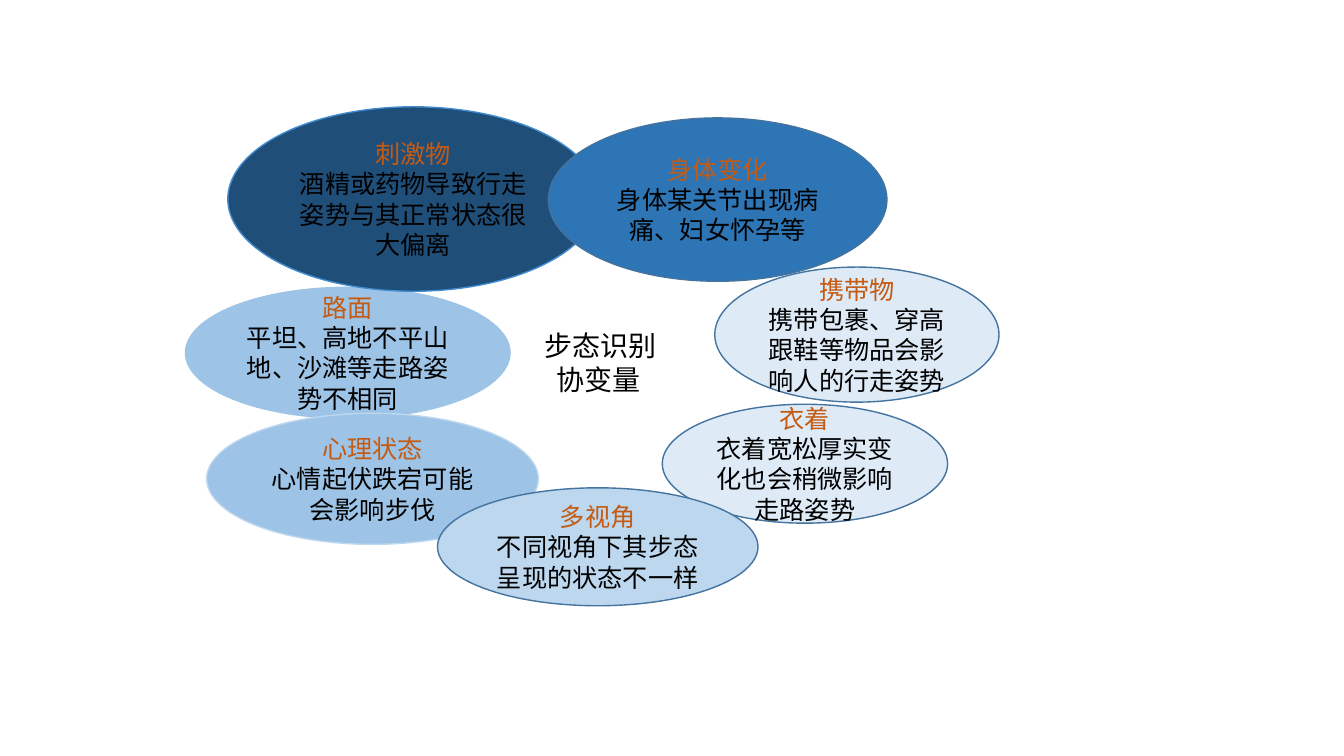
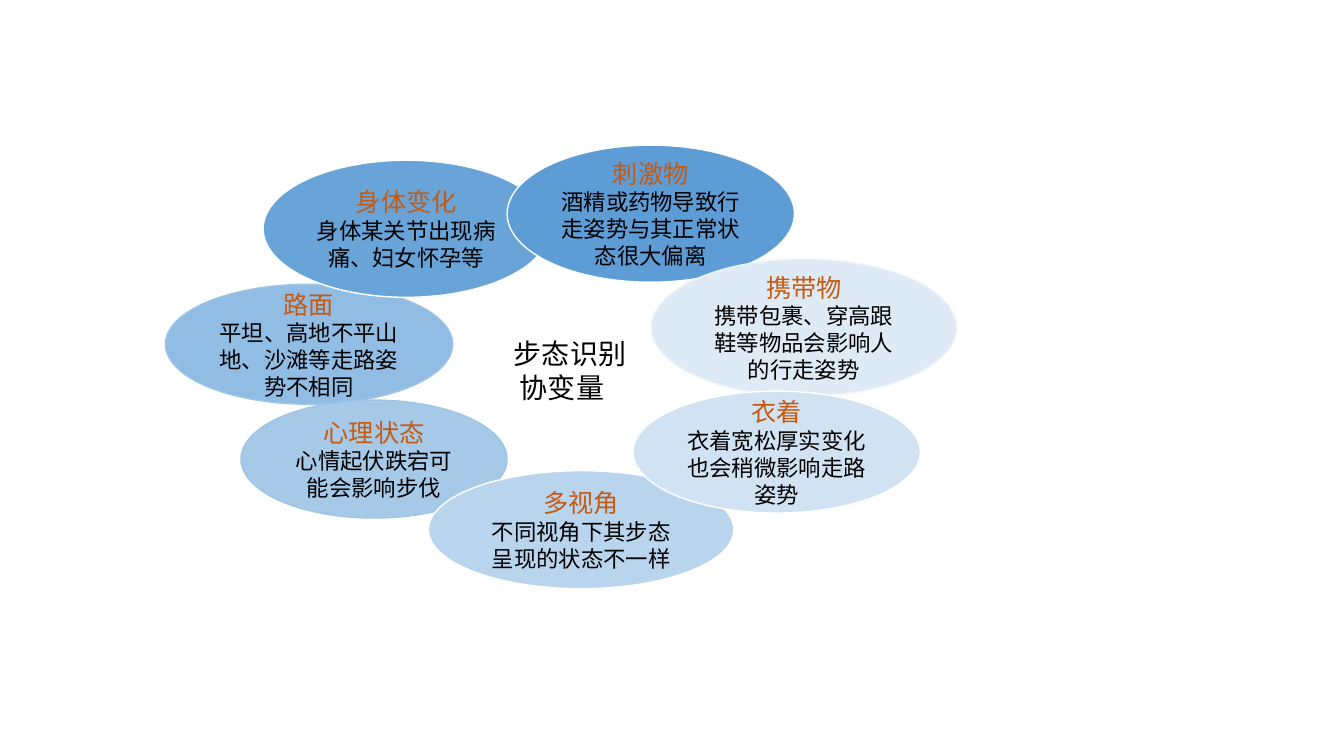
from dataclasses import dataclass

from lxml.etree import SubElement
from pptx import Presentation
from pptx.dml.color import RGBColor
from pptx.enum.shapes import MSO_SHAPE
from pptx.enum.text import MSO_ANCHOR, MSO_AUTO_SIZE, PP_ALIGN
from pptx.oxml.ns import qn
from pptx.util import Inches, Pt

WIDTH, HEIGHT = Inches(13.33), Inches(7.5)


@dataclass(frozen=True)
class Theme:
    font: str = "Noto Sans CJK SC"
    ink: str = "000000"
    accent: str = "C55A11"
    white: str = "FFFFFF"
    steel: str = "43739E"
    palest: str = "DEEBF7"
    pale: str = "BDD7EE"
    sky: str = "9DC3E6"
    topic_size: int = 20
    heading_size: int = 18
    large_detail: int = 18
    small_detail: int = 16
    outline: int = 1


THEME = Theme()
TOPIC = ("步态识别", "协变量")
DETAILS = {
    "刺激物": "酒精或药物导致行走姿势与其正常状态很大偏离",
    "身体变化": "身体某关节出现病痛、妇女怀孕等",
    "携带物": "携带包裹、穿高跟鞋等物品会影响人的行走姿势",
    "衣着": "衣着宽松厚实变化也会稍微影响走路姿势",
    "多视角": "不同视角下其步态呈现的状态不一样",
    "心理状态": "心情起伏跌宕可能会影响步伐",
    "路面": "平坦、高地不平山地、沙滩等走路姿势不相同",
}

# Each ellipse: covariate, (left, top, width, height) in percent of the slide, fill, outline
VARIED_RING = (
    ("携带物", (53.18, 35.33, 21.15, 17.87), THEME.palest, THEME.steel),
    ("路面", (13.8, 38, 24.15, 17.33), THEME.sky, THEME.sky),
    ("衣着", (49.28, 53.47, 21.23, 15.73), THEME.palest, THEME.steel),
    ("心理状态", (15.38, 54.67, 24.68, 17.33), THEME.sky, THEME.pale),
    ("多视角", (32.55, 64.53, 23.85, 15.6), THEME.pale, THEME.steel),
    ("刺激物", (16.95, 14.13, 27.6, 24.4), "1F4E79", "428BCE"),
    ("身体变化", (40.8, 15.6, 25.2, 21.6), "2E75B6", THEME.steel),
)
GRADED_RING = (
    ("路面", (12.3, 37.6, 21.38, 15.87), "91BCE3", THEME.sky),
    ("心理状态", (17.93, 52.93, 19.8, 15.6), "A6C9E8", "9EC4E6"),
    ("多视角", (31.88, 62.27, 22.73, 15.6), "B9D4ED", THEME.white),
    ("身体变化", (19.58, 21.2, 21.3, 18.13), "69A4D9", THEME.white),
    ("刺激物", (37.73, 19.2, 21.38, 18.13), "5D9CD5", THEME.white),
    ("携带物", (48.45, 34.27, 22.73, 18.13), THEME.palest, "EEF3F8"),
    ("衣着", (47.1, 51.73, 21.38, 16.13), "D1E3F3", THEME.white),
)


def place(area):
    """Turn percentages of the slide into lengths."""
    return [int(share * side / 100) for share, side in zip(area, (WIDTH, HEIGHT) * 2)]


def add_run(paragraph, text, size, color):
    run = paragraph.add_run()
    run.text = text
    run.font.size = Pt(size)
    run.font.color.rgb = RGBColor.from_string(color)
    run.font.name = THEME.font
    SubElement(run.font._element, qn("a:ea"), typeface=THEME.font)


def add_covariate(slide, heading, area, fill, outline, detail_size):
    ellipse = slide.shapes.add_shape(MSO_SHAPE.OVAL, *place(area))
    ellipse.shadow.inherit = False
    ellipse.fill.solid()
    ellipse.fill.fore_color.rgb = RGBColor.from_string(fill)
    ellipse.line.color.rgb = RGBColor.from_string(outline)
    ellipse.line.width = Pt(THEME.outline)
    frame = ellipse.text_frame
    frame.word_wrap = True
    frame.vertical_anchor = MSO_ANCHOR.MIDDLE
    title, detail = frame.paragraphs[0], frame.add_paragraph()
    title.alignment = detail.alignment = PP_ALIGN.CENTER
    add_run(title, heading, THEME.heading_size, THEME.accent)
    add_run(detail, DETAILS[heading], detail_size, THEME.ink)


def add_topic(slide, area, indent):
    """Name the ring in its middle, with the second line indented."""
    frame = slide.shapes.add_textbox(*place(area)).text_frame
    frame.word_wrap = True
    frame.auto_size = MSO_AUTO_SIZE.SHAPE_TO_FIT_TEXT
    frame.margin_right = 0
    first, second = frame.paragraphs[0], frame.add_paragraph()
    second._p.get_or_add_pPr().set("marL", str(int(indent * WIDTH / 100)))
    for paragraph, text in zip((first, second), TOPIC):
        add_run(paragraph, text, THEME.topic_size, THEME.ink)


def add_ring_slide(deck, topic_area, topic_indent, ring, detail_size):
    slide = deck.slides.add_slide(deck.slide_layouts[6])
    add_topic(slide, topic_area, topic_indent)
    for heading, area, fill, outline in ring:
        add_covariate(slide, heading, area, fill, outline, detail_size)


def main():
    deck = Presentation()
    deck.slide_width, deck.slide_height = WIDTH, HEIGHT
    add_ring_slide(deck, (39.75, 42.8, 9.9, 10.27), 0.9, VARIED_RING, THEME.large_detail)
    add_ring_slide(deck, (37.5, 43.87, 12.45, 10.27), 0.45, GRADED_RING, THEME.small_detail)
    deck.save("out.pptx")


if __name__ == "__main__":
    main()
